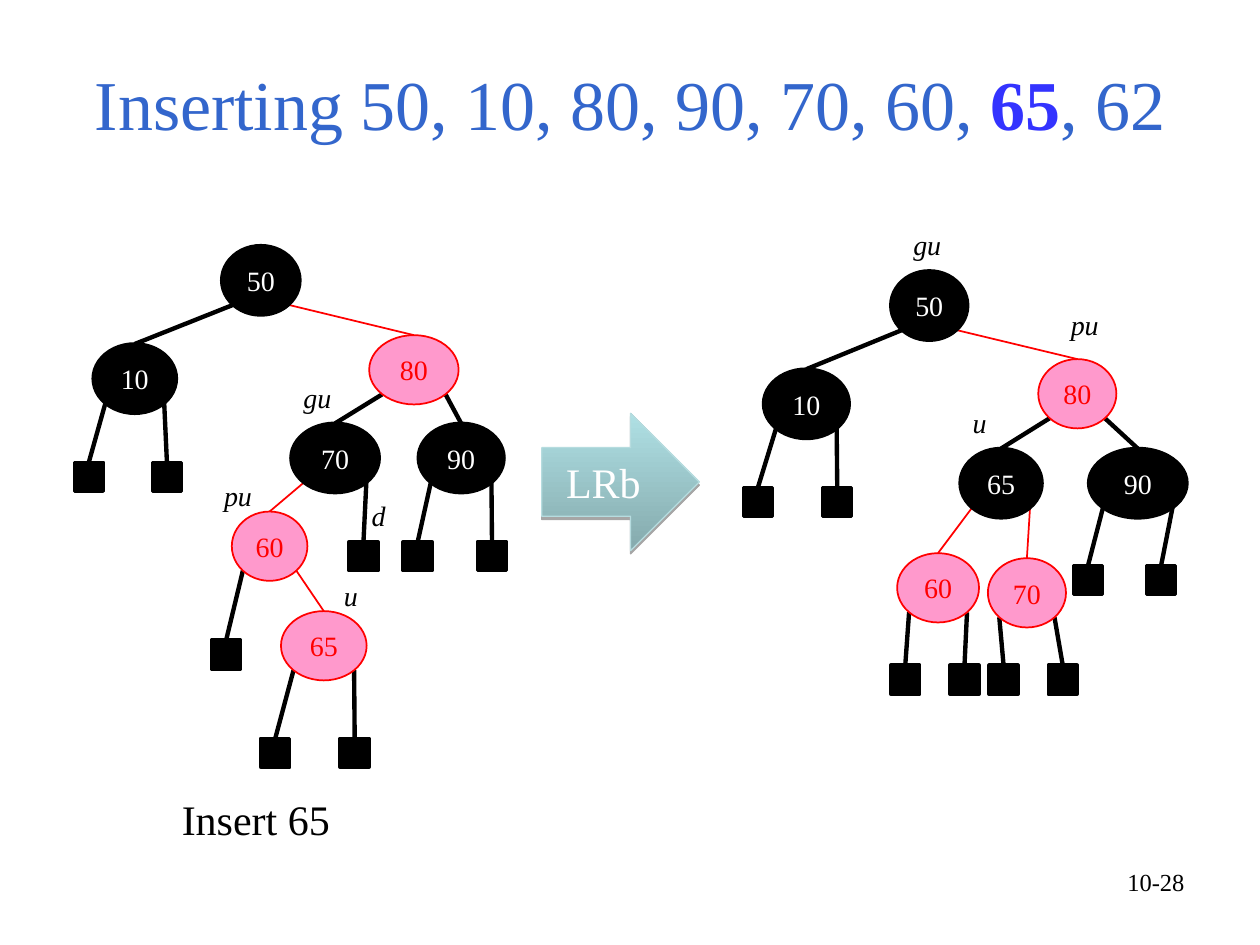
from math import sqrt

from lxml import etree
from pptx import Presentation
from pptx.dml.color import RGBColor
from pptx.enum import shapes, text
from pptx.oxml import ns
from pptx.util import Inches, Pt

FONT = "Times New Roman"
BLACK, WHITE, RED, PINK = "000000", "FFFFFF", "FF0000", "FF99CC"
TITLE_BLUE, KEY_BLUE = "3366CC", "3333FF"
NODE_HEIGHT, LEAF_SIZE = 0.55, 0.23

TITLE = [
    ("Inserting 50, 10, 80, 90, 70, 60, ", TITLE_BLUE, False),
    ("65", KEY_BLUE, True),
    (", 62", TITLE_BLUE, False),
]

# key: (left, top, width, is red, two children); a child is a key or a leaf position
TREES = [
    {
        "nodes": {
            "50": (1.76, 1.95, 0.62, False, ("10", "80")),
            "10": (0.74, 2.73, 0.66, False, ((0.59, 3.67), (1.21, 3.67))),
            "80": (2.93, 2.66, 0.71, True, ("70", "90")),
            "70": (2.31, 3.36, 0.70, False, ("60", (2.77, 4.3))),
            "90": (3.32, 3.36, 0.68, False, ((3.2, 4.3), (3.79, 4.3))),
            "60": (1.84, 4.06, 0.60, True, ((1.68, 5.08), "65")),
            "65": (2.23, 4.85, 0.68, True, ((2.07, 5.86), (2.7, 5.86))),
        },
        "labels": [("u", 2.63, 4.54), ("pu", 1.68, 3.75),
                   ("gu", 2.31, 2.97), ("d", 2.85, 3.91)],
        "caption": ("Insert 65", (1.29, 6.25, 1.48, 0.5)),
    },
    {
        "nodes": {
            "50": (7.07, 2.15, 0.61, False, ("10", "80")),
            "10": (6.06, 2.93, 0.68, False, ((5.9, 3.87), (6.53, 3.87))),
            "80": (8.24, 2.85, 0.62, True, ("65", "90")),
            "65": (7.62, 3.56, 0.65, False, ("60", "70")),
            "90": (8.64, 3.56, 0.78, False, ((8.52, 4.49), (9.1, 4.49))),
            "60": (7.12, 4.39, 0.65, True, ((7.07, 5.28), (7.54, 5.28))),
            "70": (7.84, 4.43, 0.62, True, ((7.85, 5.28), (8.32, 5.28))),
        },
        "labels": [("pu", 8.4, 2.39), ("u", 7.62, 3.17), ("gu", 7.15, 1.76)],
        "caption": None,
    },
]


def rgb(value):
    return RGBColor.from_string(value)


def inches(values):
    return [Inches(value) for value in values]


def write(shape, runs, size, align, italic=False):
    paragraph = shape.text_frame.paragraphs[0]
    paragraph.alignment = align
    for words, color, bold in runs:
        run = paragraph.add_run()
        run.text = words
        run.font.name, run.font.size = FONT, Pt(size)
        run.font.bold, run.font.italic = bold, italic
        run.font.color.rgb = rgb(color)


def add_text(parent, box, runs, size, align, italic=False, grow=True):
    label = parent.add_textbox(*inches(box))
    label.text_frame.word_wrap = True
    if grow:
        label.text_frame.auto_size = text.MSO_AUTO_SIZE.SHAPE_TO_FIT_TEXT
    write(label, runs, size, align, italic)
    return label


def add_shape(parent, kind, box, line, width, fill=None):
    shape = parent.add_shape(kind, *inches(box))
    shape.shadow.inherit = False
    if fill:
        shape.fill.solid()
        shape.fill.fore_color.rgb = rgb(fill)
    shape.line.color.rgb = rgb(line)
    shape.line.width = Pt(width)
    shape.text_frame.word_wrap = False
    shape.text_frame.vertical_anchor = text.MSO_ANCHOR.MIDDLE
    return shape


def add_edge(parent, start, end, red):
    edge = parent.add_connector(shapes.MSO_CONNECTOR.STRAIGHT, *inches(start + end))
    edge.line.color.rgb = rgb(RED if red else BLACK)
    edge.line.width = Pt(1 if red else 2.5)
    etree.SubElement(edge._element.spPr, ns.qn("a:effectLst"))


def add_tree(slide, tree):
    group = slide.shapes.add_group_shape().shapes
    nodes = tree["nodes"]
    for left, top, width, _, children in nodes.values():
        for side, child in zip((-1, 1), children):
            start = (left + width / 2 * (1 + side / sqrt(2)),
                     top + NODE_HEIGHT / 2 * (1 + 1 / sqrt(2)))
            if child in nodes:
                child_left, child_top, child_width, red, _ = nodes[child]
            else:
                child_left, child_top = child
                child_width, red = LEAF_SIZE, False
                add_shape(group, shapes.MSO_SHAPE.RECTANGLE,
                          (*child, LEAF_SIZE, LEAF_SIZE), BLACK, 2, BLACK)
            add_edge(group, start, (child_left + child_width / 2, child_top), red)
    for key, (left, top, width, red, _) in nodes.items():
        line, line_width, fill, ink = (RED, 1, PINK, RED) if red else (BLACK, 2, BLACK, WHITE)
        node = add_shape(group, shapes.MSO_SHAPE.OVAL,
                         (left, top, width, NODE_HEIGHT), line, line_width, fill)
        write(node, [(key, ink, False)], 16, text.PP_ALIGN.CENTER)
    for words, left, top in tree["labels"]:
        width = 0.39 if len(words) == 1 else 0.47
        add_text(group, (left, top, width, 0.37), [(words, BLACK, False)],
                 16, text.PP_ALIGN.LEFT, italic=True)
    if tree["caption"]:
        words, box = tree["caption"]
        add_text(group, box, [(words, BLACK, False)], 24, text.PP_ALIGN.CENTER)


def add_rotation_arrow(slide):
    arrow = add_shape(slide.shapes, shapes.MSO_SHAPE.RIGHT_ARROW,
                      (4.3, 3.28, 1.25, 1.09), "B6DCDF", 0.75)
    arrow.fill.gradient()
    arrow.fill.gradient_angle = 90
    for stop, color in zip(arrow.fill.gradient_stops, ("85AAAD", "AFE0E4")):
        stop.color.rgb = rgb(color)
    effects = arrow._element.spPr.find(ns.qn("a:effectLst"))
    shadow = etree.SubElement(effects, ns.qn("a:outerShdw"), blurRad="0",
                              dist=str(Pt(1.8)), dir="5400000", rotWithShape="0")
    color = etree.SubElement(shadow, ns.qn("a:srgbClr"), val=BLACK)
    etree.SubElement(color, ns.qn("a:alpha"), val="35000")
    write(arrow, [("LRb", WHITE, False)], 24, text.PP_ALIGN.CENTER)


def main():
    deck = Presentation()
    deck.slide_width, deck.slide_height = inches((10, 7.5))
    slide = deck.slides.add_slide(deck.slide_layouts[6])
    for tree in TREES:
        add_tree(slide, tree)
    add_rotation_arrow(slide)
    title = add_text(slide.shapes, (0.5, 0.3, 9, 0.85), TITLE, 40,
                     text.PP_ALIGN.CENTER, grow=False).text_frame
    title.vertical_anchor = text.MSO_ANCHOR.BOTTOM
    title.margin_left = title.margin_right = title.margin_bottom = 0
    add_text(slide.shapes, (7.17, 6.83, 2.33, 0.52), [("10-28", BLACK, False)],
             14, text.PP_ALIGN.RIGHT, grow=False)
    deck.save("out.pptx")


if __name__ == "__main__":
    main()
